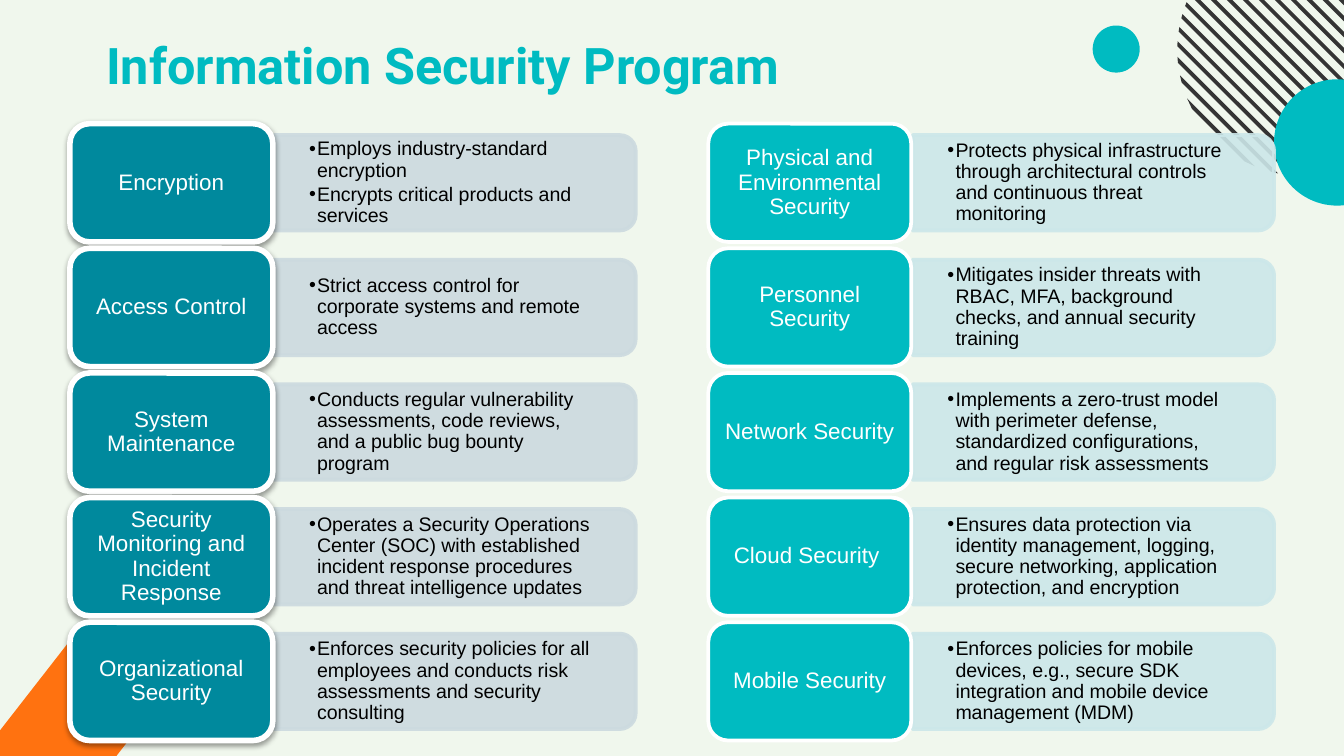
"""Build the Information Security Program slide."""
from math import sqrt

from lxml import etree
from pptx import Presentation
from pptx.dml.color import RGBColor
from pptx.enum.shapes import MSO_SHAPE
from pptx.enum.text import MSO_ANCHOR, PP_ALIGN
from pptx.oxml.ns import qn
from pptx.util import Inches, Pt

ROUNDED = MSO_SHAPE.ROUNDED_RECTANGLE
HALF_ROUNDED = MSO_SHAPE.ROUND_2_SAME_RECTANGLE
OVAL = MSO_SHAPE.OVAL
TOP, MIDDLE = MSO_ANCHOR.TOP, MSO_ANCHOR.MIDDLE
LEFT, CENTER = PP_ALIGN.LEFT, PP_ALIGN.CENTER

MINT = RGBColor(0xF0, 0xF7, 0xED)
TURQUOISE = RGBColor(0x00, 0xBB, 0xC1)
TEAL = RGBColor(0x00, 0x89, 0x9D)
GREY_BLUE = RGBColor(0xCC, 0xDA, 0xDF)
PALE_TEAL = RGBColor(0xCC, 0xE7, 0xE9)
CHARCOAL = RGBColor(0x34, 0x34, 0x34)
ORANGE = RGBColor(0xFF, 0x72, 0x10)
WHITE = RGBColor(0xFF, 0xFF, 0xFF)
BLACK = RGBColor(0x00, 0x00, 0x00)

TITLE = "Information Security Program"
COLUMNS = [
    {
        "left": 0.52, "box": TEAL, "bar": GREY_BLUE, "border": 3, "raised": True,
        "rows": [
            ("Encryption", ["Employs industry-standard encryption",
                            "Encrypts critical products and services"]),
            ("Access Control", ["Strict access control for corporate systems and remote access"]),
            ("System Maintenance", ["Conducts regular vulnerability assessments, code reviews, "
                                    "and a public bug bounty program"]),
            ("Security Monitoring and Incident Response",
             ["Operates a Security Operations Center (SOC) with established incident "
              "response procedures and threat intelligence updates"]),
            ("Organizational Security", ["Enforces security policies for all employees and conducts "
                                         "risk assessments and security consulting"]),
        ],
    },
    {
        "left": 5.27, "box": TURQUOISE, "bar": PALE_TEAL, "border": 2, "raised": False,
        "rows": [
            ("Physical and Environmental Security",
             ["Protects physical infrastructure through architectural controls "
              "and continuous threat monitoring"]),
            ("Personnel Security", ["Mitigates insider threats with RBAC, MFA, background checks, "
                                    "and annual security training"]),
            ("Network Security", ["Implements a zero-trust model with perimeter defense, "
                                  "standardized configurations, and regular risk assessments"]),
            ("Cloud Security ", ["Ensures data protection via identity management, logging, "
                                 "secure networking, application protection, and encryption"]),
            ("Mobile Security", ["Enforces policies for mobile devices, e.g., secure SDK "
                                 "integration and mobile device management (MDM)"]),
        ],
    },
]

ROW_TOP, LAST_ROW_TOP, ROW_COUNT = 0.92, 4.63, 5
ROW_PITCH = (LAST_ROW_TOP - ROW_TOP) / (ROW_COUNT - 1)
BOX_WIDTH, BOX_HEIGHT = 1.51, 0.88
BAR_WIDTH, BAR_HEIGHT = 2.69, 0.71
DETAIL_WIDTH, DETAIL_HEIGHT = 2.66, 0.64
HATCH_X, HATCH_Y, HATCH_RADIUS = 9.7, 0.37, 0.94
FIRST_STRIPE, LAST_STRIPE, STRIPE_COUNT = -0.65, 1.25, 17
STRIPE_HALF = 0.02


def add_filled(slide, preset, left, top, width, height, color):
    shape = slide.shapes.add_shape(preset, Inches(left), Inches(top), Inches(width), Inches(height))
    paint(shape, color)
    return shape


def paint(shape, color):
    shape.shadow.inherit = False
    shape.fill.solid()
    shape.fill.fore_color.rgb = color
    shape.line.fill.background()


def set_border(shape, color, width):
    shape.line.color.rgb = color
    shape.line.width = Pt(width)


def set_insets(frame, horizontal, vertical):
    frame.word_wrap = True
    frame.margin_left = frame.margin_right = Inches(horizontal)
    frame.margin_top = frame.margin_bottom = Inches(vertical)


def style_paragraph(paragraph, size, color, font="Arial", align=LEFT, bold=False):
    paragraph.alignment = align
    for run in paragraph.runs:
        run.font.name = font
        run.font.size = Pt(size)
        run.font.bold = bold
        run.font.color.rgb = color


def set_alpha(shape, percent):
    for color in shape._element.spPr.iter(qn("a:srgbClr")):
        etree.SubElement(color, qn("a:alpha"), val=str(percent * 1000))


def add_soft_shadow(shape):
    effects = shape._element.spPr.find(qn("a:effectLst"))
    shadow = etree.SubElement(effects, qn("a:outerShdw"), blurRad=str(Pt(3.1)),
                              dist=str(Pt(1.6)), dir="5400000", rotWithShape="0")
    color = etree.SubElement(shadow, qn("a:srgbClr"), val="000000")
    etree.SubElement(color, qn("a:alpha"), val="38000")


def add_bullet(paragraph):
    properties = paragraph._p.get_or_add_pPr()
    properties.set("marL", str(Inches(0.06)))
    properties.set("indent", str(Inches(-0.06)))
    color = etree.SubElement(properties, qn("a:buClr"))
    etree.SubElement(color, qn("a:srgbClr"), val="000000")
    etree.SubElement(properties, qn("a:buFont"), typeface="Arial")
    etree.SubElement(properties, qn("a:buChar"), char="•")


def chord(offset):
    reach = sqrt((HATCH_RADIUS ** 2 - offset ** 2 / 2) / 2)
    return [(Inches(HATCH_X + t - offset / 2), Inches(HATCH_Y + t + offset / 2))
            for t in (-reach, reach)]


def add_decoration(slide):
    step = (LAST_STRIPE - FIRST_STRIPE) / (STRIPE_COUNT - 1)
    for index in range(STRIPE_COUNT):
        offset = FIRST_STRIPE + index * step
        start, end = chord(offset - STRIPE_HALF)
        far_start, far_end = chord(offset + STRIPE_HALF)
        builder = slide.shapes.build_freeform(*start)
        builder.add_line_segments([end, far_end, far_start], close=True)
        paint(builder.convert_to_shape(), CHARCOAL)
    add_filled(slide, OVAL, 9.48, 0.59, 0.94, 0.94, TURQUOISE)
    add_filled(slide, OVAL, 8.13, 0.19, 0.35, 0.35, TURQUOISE)
    band = add_filled(slide, ROUNDED, -3.72, 6.65, 5.94, 0.8, ORANGE)
    band.adjustments[0] = 0.5
    band.rotation = -52.1


def add_row(slide, column, top, heading, details):
    box_right = column["left"] + BOX_WIDTH
    middle = top + BOX_HEIGHT / 2

    bar = add_filled(slide, HALF_ROUNDED, box_right + (BAR_WIDTH - BAR_HEIGHT) / 2 + 0.01,
                     middle - BAR_WIDTH / 2, BAR_HEIGHT, BAR_WIDTH, column["bar"])
    bar.rotation = 90
    set_border(bar, column["bar"], 2)
    set_alpha(bar, 90)

    detail = slide.shapes.add_textbox(Inches(box_right), Inches(middle - DETAIL_HEIGHT / 2),
                                      Inches(DETAIL_WIDTH), Inches(DETAIL_HEIGHT)).text_frame
    detail.text = "\n".join(details)
    detail.vertical_anchor = MIDDLE
    set_insets(detail, 0.27, 0.14)
    for paragraph in detail.paragraphs:
        style_paragraph(paragraph, 10.5, BLACK)
        paragraph.level = 1
        paragraph.line_spacing = 0.9
        paragraph.space_after = Pt(1.6)
        add_bullet(paragraph)

    box = add_filled(slide, ROUNDED, column["left"], top, BOX_WIDTH, BOX_HEIGHT, column["box"])
    set_border(box, WHITE, column["border"])
    if column["raised"]:
        add_soft_shadow(box)
    box.text_frame.text = heading
    box.text_frame.vertical_anchor = MIDDLE
    set_insets(box.text_frame, 0.05, 0.03)
    label = box.text_frame.paragraphs[0]
    style_paragraph(label, 12, WHITE, align=CENTER)
    label.line_spacing = 0.9


def main():
    deck = Presentation()
    deck.slide_width = Inches(10)
    deck.slide_height = deck.slide_width * 9 // 16
    slide = deck.slides.add_slide(deck.slide_layouts[5])
    slide.background.fill.solid()
    slide.background.fill.fore_color.rgb = MINT
    add_decoration(slide)

    title = slide.shapes.title
    title.left, title.top, title.width, title.height = map(Inches, (0.69, 0.15, 5.3, 0.6))
    title.text_frame.text = TITLE
    title.text_frame.vertical_anchor = TOP
    set_insets(title.text_frame, 0.1, 0.1)
    style_paragraph(title.text_frame.paragraphs[0], 27, TURQUOISE, font="Roboto", bold=True)

    for column in COLUMNS:
        for index, (heading, details) in enumerate(column["rows"]):
            add_row(slide, column, ROW_TOP + index * ROW_PITCH, heading, details)
    deck.save("out.pptx")


if __name__ == "__main__":
    main()
